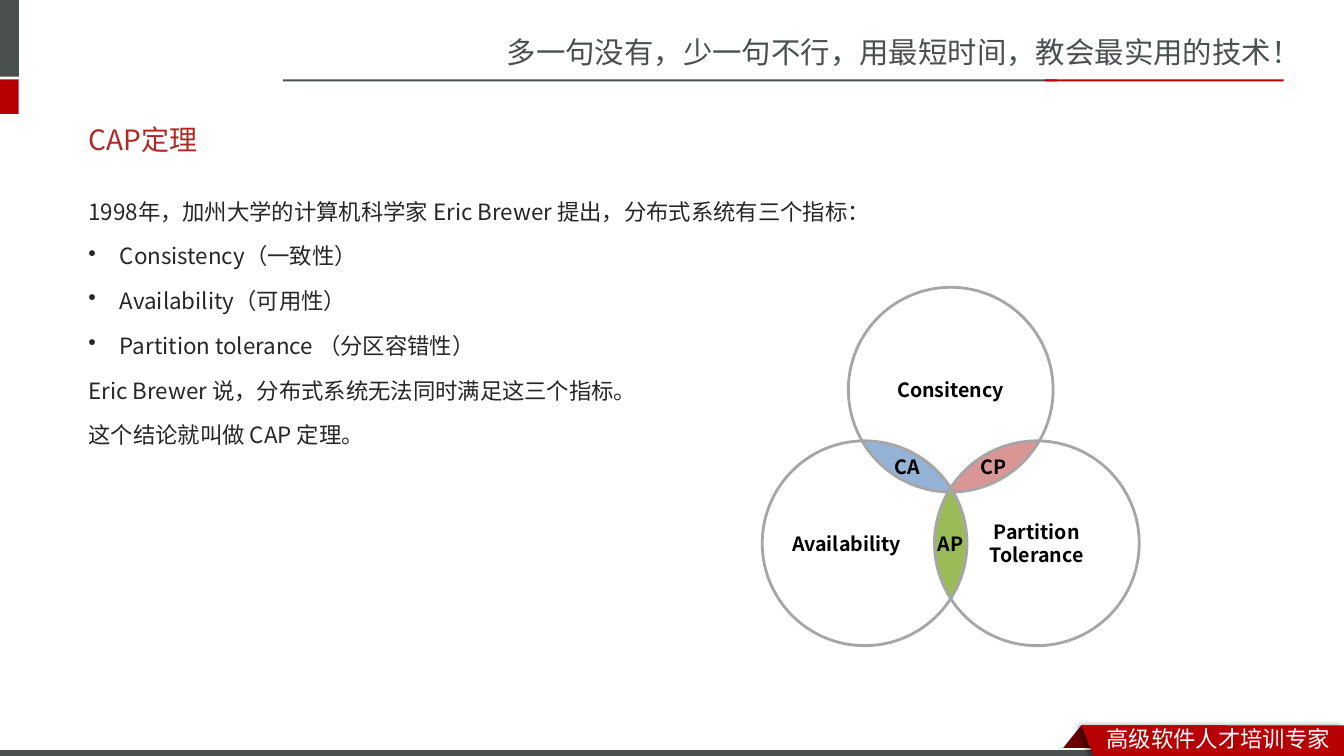
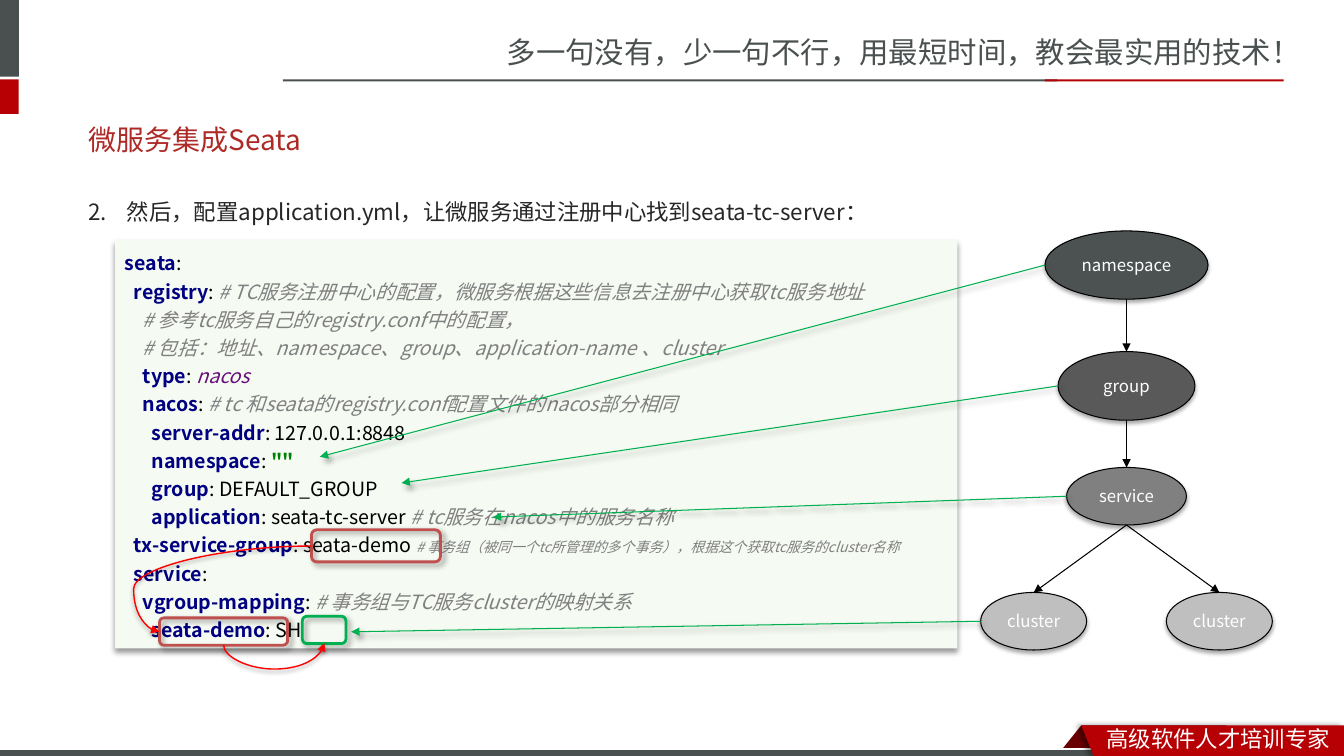
import math
from dataclasses import dataclass
from typing import NamedTuple

import lxml.etree
import pptx
import pptx.dml.color
import pptx.enum.shapes
import pptx.enum.text
import pptx.oxml.ns
import pptx.shapes.autoshape
import pptx.shapes.base
import pptx.shapes.connector
import pptx.slide
import pptx.text.text
import pptx.util

Cm = pptx.util.Cm
Pt = pptx.util.Pt
qn = pptx.oxml.ns.qn
Shapes = pptx.enum.shapes.MSO_SHAPE
Connectors = pptx.enum.shapes.MSO_CONNECTOR
Align = pptx.enum.text.PP_ALIGN
Anchor = pptx.enum.text.MSO_ANCHOR

FONT = "Noto Sans CJK SC"
SLIDE_WIDTH, SLIDE_HEIGHT = 33.87, 19.05
RED, GREY, WHITE, BLACK = "B60004", "49504F", "FFFFFF", "000000"
MARK_RED, MARK_GREEN, CURVE_RED = "C0504D", "00B050", "FF0000"


class Point(NamedTuple):
    x: float
    y: float


class Box(NamedTuple):
    """A rectangle in centimetres."""
    left: float
    top: float
    width: float
    height: float


class Shadow(NamedTuple):
    alpha: int
    blur: float
    distance: float
    direction: int


class Line(NamedTuple):
    color: str
    width: float


@dataclass(frozen=True)
class TextStyle:
    size: float
    color: str
    bold: bool = False
    align: Align = Align.LEFT
    line_spacing: float | None = None
    space_before: float = 0


class Bullet(NamedTuple):
    tag: str
    attributes: dict[str, str]
    indent: float


@dataclass(frozen=True)
class Circle:
    label: tuple[str, ...]
    center: Point
    align: Align = Align.CENTER


@dataclass(frozen=True)
class Node:
    label: str
    center_x: float
    top: float
    width: float
    height: float
    fill: str
    target: Point | None = None

    @property
    def box(self) -> Box:
        return Box(self.center_x - self.width / 2, self.top, self.width, self.height)


class CodeStyle(NamedTuple):
    color: str
    bold: bool = False
    italic: bool = False
    size: float = 14


RIBBON_SHADOW = Shadow(40, 4, 3, 180)
PANEL_SHADOW = Shadow(40, 4, 3, 90)
NODE_SHADOW = Shadow(35, 3.1, 1.8, 90)
MARK_SHADOW = Shadow(40, 4, 3, 45)
CURVE_SHADOW = Shadow(38, 3.1, 1.6, 90)

TITLE = TextStyle(20, "AD2A26")
BODY = TextStyle(16, "262626", line_spacing=1.5, space_before=3.2)
VENN_LABEL = TextStyle(14, BLACK, bold=True, align=Align.CENTER)
NODE_LABEL = TextStyle(12, WHITE, align=Align.CENTER)
CODE = TextStyle(14, BLACK, line_spacing=1.2)

DOT = Bullet("a:buChar", {"char": "•"}, 0.79)
SECOND = Bullet("a:buAutoNum", {"type": "arabicPeriod", "startAt": "2"}, 0.97)

KEY = CodeStyle("000080", bold=True)
PLAIN = CodeStyle(BLACK)
COMMENT = CodeStyle("808080", italic=True)
NOTE = CodeStyle("808080", italic=True, size=10)
VALUE = CodeStyle("660E7A", italic=True)
STRING = CodeStyle("008000", bold=True)

CODE_PARAGRAPHS = [[
    [("seata", KEY), (":", PLAIN)],
    [("  registry", KEY), (": ", PLAIN), ("# TC服务注册中心的配置，微服务根据这些信息去注册中心获取tc服务地址", COMMENT)],
    [("    # 参考tc服务自己的registry.conf中的配置，", COMMENT)],
], [
    [("    # 包括：地址、namespace、group、application-name 、cluster", COMMENT)],
    [("    type", KEY), (": ", PLAIN), ("nacos", VALUE)],
    [("    nacos", KEY), (": ", PLAIN), ("# tc 和seata的registry.conf配置文件的nacos部分相同", COMMENT)],
    [("      server-addr", KEY), (": 127.0.0.1:8848", PLAIN)],
    [("      namespace", KEY), (": ", PLAIN), ('""', STRING)],
    [("      group", KEY), (": DEFAULT_GROUP", PLAIN)],
    [("      application", KEY), (": seata-tc-server ", PLAIN), ("# tc服务在nacos中的服务名称", COMMENT)],
    [("  tx-service-group", KEY), (": seata-demo ", PLAIN),
     ("# 事务组（被同一个tc所管理的多个事务），根据这个获取tc服务的cluster名称", NOTE)],
    [("  service", KEY), (":", PLAIN)],
    [("    vgroup-mapping", KEY), (": ", PLAIN), ("# 事务组与TC服务cluster的映射关系", COMMENT)],
    [("      seata-demo", KEY), (": SH", PLAIN)],
]]


def rgb(color: str) -> pptx.dml.color.RGBColor:
    return pptx.dml.color.RGBColor.from_string(color)


def set_shadow(shape: pptx.shapes.base.BaseShape, shadow: Shadow | None) -> None:
    """Replace the theme shadow; call once the line has been set."""
    effects = lxml.etree.SubElement(shape._element.spPr, qn("a:effectLst"))
    if shadow:
        outer = lxml.etree.SubElement(
            effects, qn("a:outerShdw"), blurRad=str(Pt(shadow.blur)), dist=str(Pt(shadow.distance)),
            dir=str(shadow.direction * 60000), algn="ctr", rotWithShape="0")
        color = lxml.etree.SubElement(outer, qn("a:srgbClr"), val=BLACK)
        lxml.etree.SubElement(color, qn("a:alpha"), val=str(shadow.alpha * 1000))


def paint(shape: pptx.shapes.autoshape.Shape, fill: str | None, line: Line | None = None,
          shadow: Shadow | None = None) -> None:
    if fill:
        shape.fill.solid()
        shape.fill.fore_color.rgb = rgb(fill)
    else:
        shape.fill.background()
    if line:
        shape.line.color.rgb = rgb(line.color)
        shape.line.width = Pt(line.width)
    else:
        shape.line.fill.background()
    set_shadow(shape, shadow)


def add_shape(slide: pptx.slide.Slide, kind: Shapes, box: Box, fill: str | None,
              line: Line | None = None, shadow: Shadow | None = None) -> pptx.shapes.autoshape.Shape:
    shape = slide.shapes.add_shape(kind, *map(Cm, box))
    paint(shape, fill, line, shadow)
    return shape


def add_freeform(slide: pptx.slide.Slide, points: list[Point], fill: str,
                 shadow: Shadow | None = None) -> pptx.shapes.autoshape.Shape:
    corners = [(Cm(point.x), Cm(point.y)) for point in points]
    builder = slide.shapes.build_freeform(*corners[0])
    builder.add_line_segments(corners[1:], close=True)
    shape = builder.convert_to_shape()
    paint(shape, fill, shadow=shadow)
    return shape


def style_paragraph(paragraph: pptx.text.text._Paragraph, style: TextStyle) -> None:
    paragraph.alignment = style.align
    if style.line_spacing:
        paragraph.line_spacing = style.line_spacing
    font = paragraph.font
    font.size, font.bold, font.name = Pt(style.size), style.bold, FONT
    font.color.rgb = rgb(style.color)
    lxml.etree.SubElement(font._element, qn("a:ea"), typeface=FONT)


def add_bullet(paragraph: pptx.text.text._Paragraph, bullet: Bullet) -> None:
    properties = paragraph._p.get_or_add_pPr()
    properties.set("marL", str(Cm(bullet.indent)))
    properties.set("indent", str(-Cm(bullet.indent)))
    lxml.etree.SubElement(properties, qn(bullet.tag), bullet.attributes)


def write(shape: pptx.shapes.autoshape.Shape, lines: list[tuple[str, Bullet | None]], style: TextStyle,
          anchor: Anchor = Anchor.MIDDLE, side_inset: float = 0.25) -> None:
    frame = shape.text_frame
    frame.word_wrap = True
    frame.vertical_anchor = anchor
    frame.margin_left = frame.margin_right = Cm(side_inset)
    for index, (text, bullet) in enumerate(lines):
        paragraph = frame.add_paragraph() if index else frame.paragraphs[0]
        paragraph.text = text
        if bullet:
            add_bullet(paragraph, bullet)
        if index and style.space_before:
            paragraph.space_before = Pt(style.space_before)
        style_paragraph(paragraph, style)


def add_text(slide: pptx.slide.Slide, box: Box, lines: list[tuple[str, Bullet | None]], style: TextStyle,
             anchor: Anchor = Anchor.MIDDLE) -> None:
    write(slide.shapes.add_textbox(*map(Cm, box)), lines, style, anchor)


def add_arrow(slide: pptx.slide.Slide, start: Point, end: Point, line: Line, shadow: Shadow | None = None,
              kind: Connectors = Connectors.STRAIGHT) -> pptx.shapes.connector.Connector:
    arrow = slide.shapes.add_connector(kind, *map(Cm, (*start, *end)))
    arrow.line.color.rgb = rgb(line.color)
    arrow.line.width = Pt(line.width)
    lxml.etree.SubElement(arrow.line._get_or_add_ln(), qn("a:tailEnd"), type="triangle")
    set_shadow(arrow, shadow)
    return arrow


def add_curve(slide: pptx.slide.Slide, start: Point, end: Point, bend: float, rotation: int = 0) -> None:
    """Bend is a share of the unrotated width."""
    curve = add_arrow(slide, start, end, Line(CURVE_RED, 1), CURVE_SHADOW, Connectors.CURVE)
    properties = curve._element.spPr
    properties.find(qn("a:xfrm")).set("rot", str(rotation * 60000))
    adjustments = properties.find(qn("a:prstGeom")).find(qn("a:avLst"))
    lxml.etree.SubElement(adjustments, qn("a:gd"), name="adj1", fmla=f"val {round(bend * 100000)}")


def add_frame(slide: pptx.slide.Slide, title: str) -> None:
    """Draw the bands, slogan, footer ribbon and title."""
    fold = add_shape(slide, Shapes.PARALLELOGRAM, Box(26.64, 18.28, 4.27, 0.76), "680000")
    fold.adjustments[0] = 0.8
    add_shape(slide, Shapes.RECTANGLE, Box(0, 18.85, SLIDE_WIDTH, 0.2), WHITE)
    add_text(slide, Box(12.52, 0.71, 21.35, 1.19),
             [("多一句没有，少一句不行，用最短时间，教会最实用的技术！", None)], TextStyle(21, GREY))
    bands = [
        (Box(0, 0, 0.48, 1.93), GREY),
        (Box(0, 2, 0.47, 0.87), RED),
        (Box(7.13, 2, 19.51, 0.05), GREY),
        (Box(26.33, 2, 6.02, 0.05), RED),
        (Box(0, 18.9, 27.91, 0.15), GREY),
    ]
    for box, fill in bands:
        add_shape(slide, Shapes.RECTANGLE, box, fill)
    ribbon = [Point(27.25, 18.28), Point(SLIDE_WIDTH, 18.28), Point(SLIDE_WIDTH, SLIDE_HEIGHT),
              Point(27.56, SLIDE_HEIGHT)]
    add_freeform(slide, ribbon, RED, RIBBON_SHADOW)
    add_text(slide, Box(27.64, 18.14, 6.22, 0.94), [("高级软件人才培训专家", None)], TextStyle(16, WHITE))
    add_text(slide, Box(1.98, 2.79, 29.72, 1.45), [(title, None)], TITLE)


def lens_points(first: Point, second: Point, radius: float, steps: int = 4) -> list[Point]:
    """Outline the overlap of two equal circles."""
    half_angle = math.acos(math.dist(first, second) / 2 / radius)
    points = []
    for center, other in ((first, second), (second, first)):
        middle = math.atan2(other.y - center.y, other.x - center.x)
        for step in range(steps):
            angle = middle + half_angle * (2 * step / steps - 1)
            points.append(Point(center.x + radius * math.cos(angle), center.y + radius * math.sin(angle)))
    return points


def build_cap_slide(slide: pptx.slide.Slide) -> None:
    add_frame(slide, "CAP定理")
    radius = 2.58
    top = Circle(("Consitency",), Point(23.96, 9.82))
    left = Circle(("Availability",), Point(21.79, 13.69), Align.LEFT)
    right = Circle(("Partition", "Tolerance"), Point(26.13, 13.69))
    for label, first, second, fill in (("CA", top, left, "95B3D7"), ("AP", left, right, "9BBB59"),
                                       ("CP", top, right, "D99694")):
        lens = add_freeform(slide, lens_points(first.center, second.center, radius), fill)
        write(lens, [(label, None)], VENN_LABEL, side_inset=0)
    add_text(slide, Box(1.98, 4.52, 29.72, 5), [
        ("1998年，加州大学的计算机科学家 Eric Brewer 提出，分布式系统有三个指标：", None),
        ("Consistency（一致性）", DOT),
        ("Availability（可用性）", DOT),
        ("Partition tolerance （分区容错性）", DOT),
        ("Eric Brewer 说，分布式系统无法同时满足这三个指标。", None),
        ("这个结论就叫做 CAP 定理。", None),
    ], BODY, Anchor.TOP)
    for circle in (top, left, right):
        box = Box(circle.center.x - radius, circle.center.y - radius, 2 * radius, 2 * radius)
        shape = add_shape(slide, Shapes.OVAL, box, None, Line("A6A6A6", 2))
        style = TextStyle(14, BLACK, True, circle.align)
        write(shape, [(line, None) for line in circle.label], style, side_inset=0)


def add_code(slide: pptx.slide.Slide, box: Box) -> None:
    panel = add_shape(slide, Shapes.RECTANGLE, box, "F5FAF2", shadow=PANEL_SHADOW)
    write(panel, [("", None) for _ in CODE_PARAGRAPHS], CODE)
    for paragraph, lines in zip(panel.text_frame.paragraphs, CODE_PARAGRAPHS):
        for index, tokens in enumerate(lines):
            if index:
                paragraph.add_line_break()
            for text, style in tokens:
                run = paragraph.add_run()
                run.text = text
                run.font.size, run.font.bold, run.font.italic = Pt(style.size), style.bold, style.italic
                run.font.color.rgb = rgb(style.color)


def build_seata_slide(slide: pptx.slide.Slide) -> None:
    add_frame(slide, "微服务集成Seata")
    add_text(slide, Box(1.98, 4.52, 29.72, 10.72),
             [("然后，配置application.yml，让微服务通过注册中心找到seata-tc-server：", SECOND)], BODY, Anchor.TOP)
    add_code(slide, Box(2.9, 6.04, 21.23, 10.3))

    axis, spread = 28.39, 2.34
    namespace = Node("namespace", axis, 5.82, 4.11, 1.72, "4C5252", Point(8.06, 11.51))
    group = Node("group", axis, 8.86, 3.45, 1.73, "595959", Point(10.12, 12.17))
    service = Node("service", axis, 11.78, 3.02, 1.45, "808080", Point(12.42, 13.03))
    clusters = [Node("cluster", axis + offset, 14.93, 2.67, 1.45, "BFBFBF", target)
                for offset, target in ((-spread, Point(8.85, 15.92)), (spread, None))]
    nodes = [namespace, group, service, *clusters]
    for node in nodes:
        shape = add_shape(slide, Shapes.OVAL, node.box, node.fill, Line(BLACK, 0.75), NODE_SHADOW)
        write(shape, [(node.label, None)], NODE_LABEL, side_inset=0)
    for parent, child in ((namespace, group), (group, service), *((service, cluster) for cluster in clusters)):
        add_arrow(slide, Point(parent.center_x, parent.top + parent.height), Point(child.center_x, child.top),
                  Line(BLACK, 0.75))

    for box, color in ((Box(7.85, 13.35, 3.25, 0.81), MARK_RED), (Box(4.02, 15.57, 3.23, 0.69), MARK_RED),
                       (Box(7.62, 15.53, 1.1, 0.69), MARK_GREEN)):
        add_shape(slide, Shapes.ROUNDED_RECTANGLE, box, None, Line(color, 2), MARK_SHADOW)
    add_curve(slide, Point(7.85, 13.76), Point(4.02, 15.92), 1.17)
    add_curve(slide, Point(6.93, 17.5), Point(6.88, 14.96), -12.13, rotation=90)
    for node in (group, service, namespace, clusters[0]):
        add_arrow(slide, Point(node.box.left, node.top + node.height / 2), node.target,
                  Line(MARK_GREEN, 0.75), MARK_SHADOW)


def main() -> None:
    presentation = pptx.Presentation()
    presentation.slide_width, presentation.slide_height = Cm(SLIDE_WIDTH), Cm(SLIDE_HEIGHT)
    blank = presentation.slide_layouts[6]
    for build in (build_cap_slide, build_seata_slide):
        build(presentation.slides.add_slide(blank))
    presentation.save("out.pptx")


if __name__ == "__main__":
    main()
